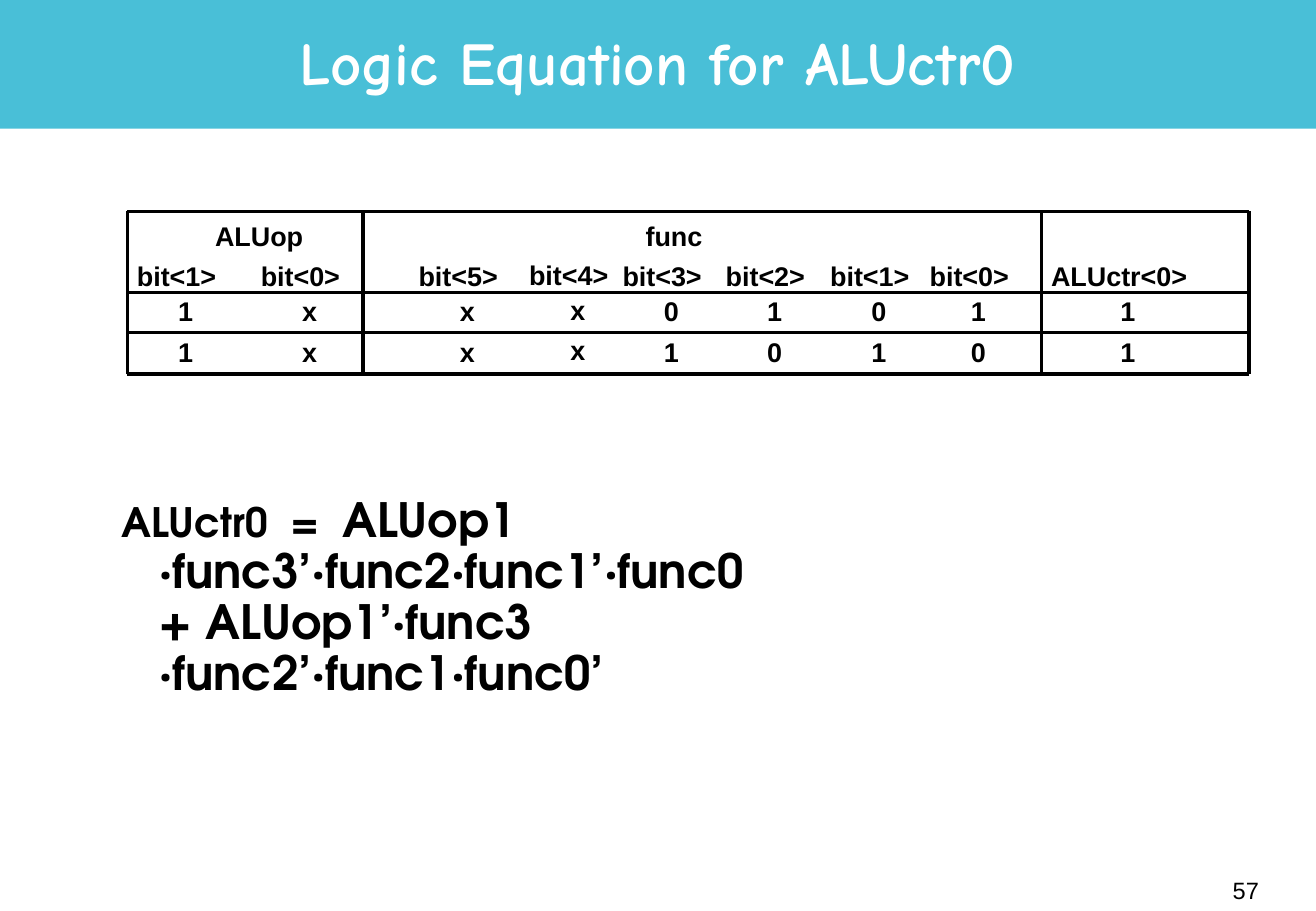
from dataclasses import dataclass

from lxml import etree
from pptx import Presentation, util as u
from pptx.dml.color import RGBColor
from pptx.enum import shapes, text
from pptx.oxml import ns
from pptx.slide import Slide
from pptx.text.text import Font

BLACK = RGBColor(0x00, 0x00, 0x00)
WHITE = RGBColor(0xFF, 0xFF, 0xFF)
BANNER_BLUE = RGBColor(0x49, 0xBF, 0xD7)

TABLE_FONT = "Arial"
TITLE_FONT = "Comic Neue"
EQUATION_FONT = "TeX Gyre Adventor"

HEADER_TOP = 2.09
VALUE_TOPS = (2.38, 2.71)
LABEL_HEIGHT = 0.37
VALUE_WIDTH = 0.33
ROW_RULES = (1.74, 2.41, 2.74, 3.08)
COLUMN_RULES = (1.05, 2.99, 8.58, 10.29)

EQUATION_LEAD = "ALUctr0  =  "
EQUATION_LINES = (
    "ALUop1",
    "‧func3’‧func2‧func1’‧func0",
    "+ ALUop1’‧func3",
    "‧func2’‧func1‧func0’",
)


@dataclass(frozen=True)
class Label:
    wording: str
    left: float
    top: float
    width: float
    height: float = LABEL_HEIGHT
    size: int = 16
    font: str = TABLE_FONT
    color: RGBColor = BLACK
    bold: bool = True
    align: text.PP_ALIGN = text.PP_ALIGN.LEFT
    spacing: float = 1.0
    middle: bool = False
    wrap: bool = False
    grow: bool = True


@dataclass(frozen=True)
class Column:
    heading: str
    values: str
    left: float
    width: float = 0.86
    value_offset: float = 0.34
    rise: float = 0.0


COLUMNS = (
    Column("bit<1>", "11", 1.03),
    Column("bit<0>", "xx", 2.05),
    Column("bit<5>", "xx", 3.35),
    Column("bit<4>", "xx", 4.26, rise=0.01),
    Column("bit<3>", "01", 5.03),
    Column("bit<2>", "10", 5.88),
    Column("bit<1>", "01", 6.74),
    Column("bit<0>", "10", 7.56),
    Column("ALUctr<0>", "11", 8.56, width=1.32, value_offset=0.57),
)

LABELS = (
    Label("Logic Equation for ALUctr0", 0.81, 0.06, 9.21, 0.99, size=36,
          font=TITLE_FONT, color=WHITE, align=text.PP_ALIGN.CENTER,
          spacing=0.85, middle=True, wrap=True, grow=False),
    Label("ALUop", 1.67, 1.76, 0.93, align=text.PP_ALIGN.CENTER),
    Label("func", 5.22, 1.76, 0.67),
    Label("57", 8.21, 7.18, 2.26, 0.3, size=14, bold=False,
          align=text.PP_ALIGN.RIGHT, middle=True, wrap=True, grow=False),
)


def style_font(font: Font, name: str, size: int, color: RGBColor, bold: bool) -> None:
    font.name = name
    font.size = u.Pt(size)
    font.bold = bold
    font.color.rgb = color


def draw_banner(page: Slide) -> None:
    banner = page.shapes.add_shape(
        shapes.MSO_SHAPE.RECTANGLE, 0, 0, u.Inches(10.84), u.Inches(1.06))
    banner.shadow.inherit = False
    banner.fill.solid()
    banner.fill.fore_color.rgb = BANNER_BLUE
    banner.line.fill.background()


def draw_label(page: Slide, label: Label) -> None:
    box = page.shapes.add_textbox(u.Inches(label.left), u.Inches(label.top),
                                  u.Inches(label.width), u.Inches(label.height))
    frame = box.text_frame
    frame.text = label.wording
    frame.word_wrap = label.wrap
    if label.grow:
        frame.auto_size = text.MSO_AUTO_SIZE.SHAPE_TO_FIT_TEXT
    if label.middle:
        frame.vertical_anchor = text.MSO_ANCHOR.MIDDLE
    para = frame.paragraphs[0]
    para.alignment = label.align
    para.line_spacing = label.spacing
    style_font(para.runs[0].font, label.font, label.size, label.color, label.bold)


def draw_column(page: Slide, column: Column) -> None:
    draw_label(page, Label(column.heading, column.left,
                           HEADER_TOP - column.rise, column.width))
    for value, top in zip(column.values, VALUE_TOPS):
        draw_label(page, Label(value, column.left + column.value_offset,
                               top - column.rise, VALUE_WIDTH))


def draw_rule(page: Slide, x1: float, y1: float, x2: float, y2: float) -> None:
    rule = page.shapes.add_connector(
        shapes.MSO_CONNECTOR.STRAIGHT,
        u.Inches(x1), u.Inches(y1), u.Inches(x2), u.Inches(y2))
    rule.line.color.rgb = BLACK
    rule.line.width = u.Pt(2)
    etree.SubElement(rule.element.spPr, ns.qn("a:effectLst"))


def draw_equation(page: Slide) -> None:
    box = page.shapes.add_textbox(u.Inches(0.9), u.Inches(4.04),
                                  u.Inches(9.21), u.Inches(2.83))
    box.text_frame.word_wrap = True
    para = box.text_frame.paragraphs[0]
    para.text = EQUATION_LEAD
    para.line_spacing = 0.9
    para.space_before = u.Pt(5.2)
    properties = para.runs[0].font  # the lead is smaller than the terms
    style_font(properties, EQUATION_FONT, 24, BLACK, True)
    hanging = para._p.get_or_add_pPr()
    hanging.set("marL", str(u.Inches(0.31)))
    hanging.set("indent", str(-u.Inches(0.31)))
    for index, wording in enumerate(EQUATION_LINES):
        if index:
            para.add_line_break()
        span = para.add_run()
        span.text = wording
        style_font(span.font, EQUATION_FONT, 28, BLACK, True)


def main() -> None:
    deck = Presentation()
    deck.slide_width = u.Inches(10.84)
    deck.slide_height = u.Inches(7.5)
    page = deck.slides.add_slide(deck.slide_layouts[6])

    draw_banner(page)
    draw_equation(page)
    for y in ROW_RULES:
        draw_rule(page, COLUMN_RULES[0], y, COLUMN_RULES[-1], y)
    for x in COLUMN_RULES:
        draw_rule(page, x, ROW_RULES[0], x, ROW_RULES[-1])
    for column in COLUMNS:
        draw_column(page, column)
    for label in LABELS:
        draw_label(page, label)

    deck.save("out.pptx")


if __name__ == "__main__":
    main()
